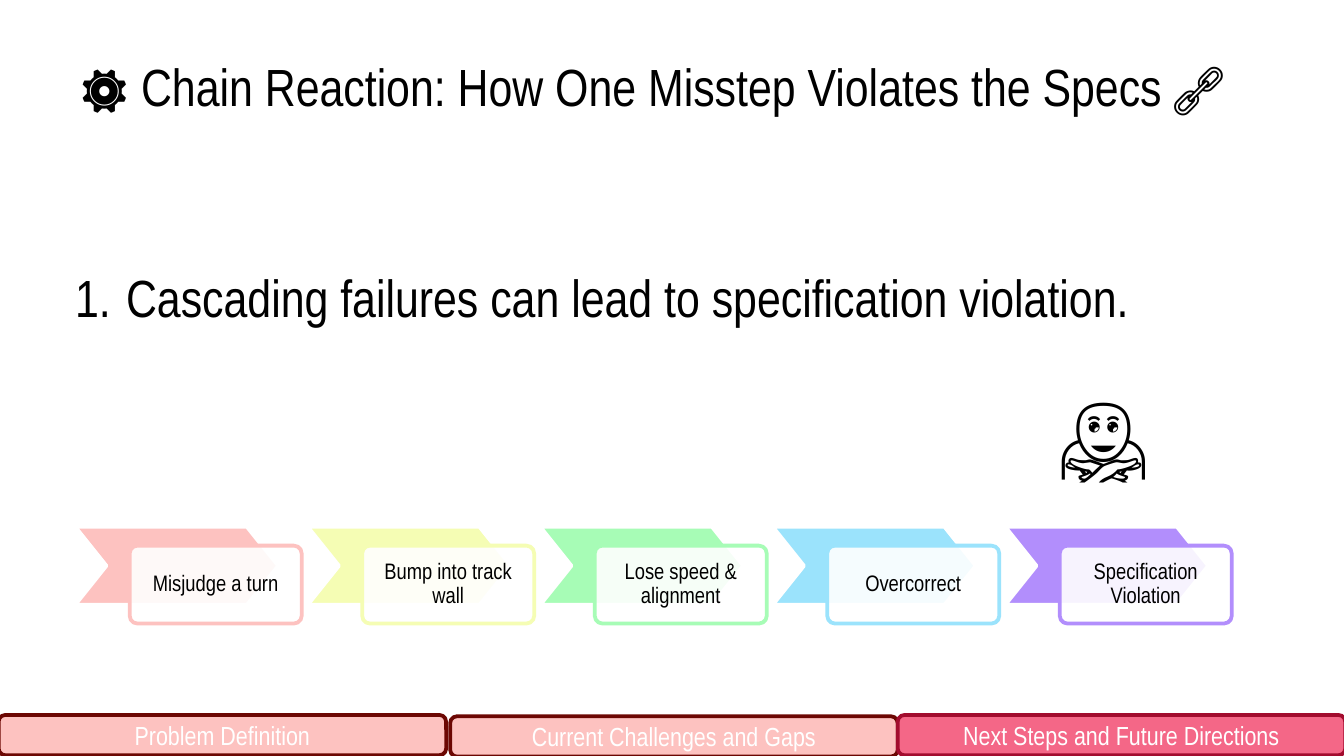
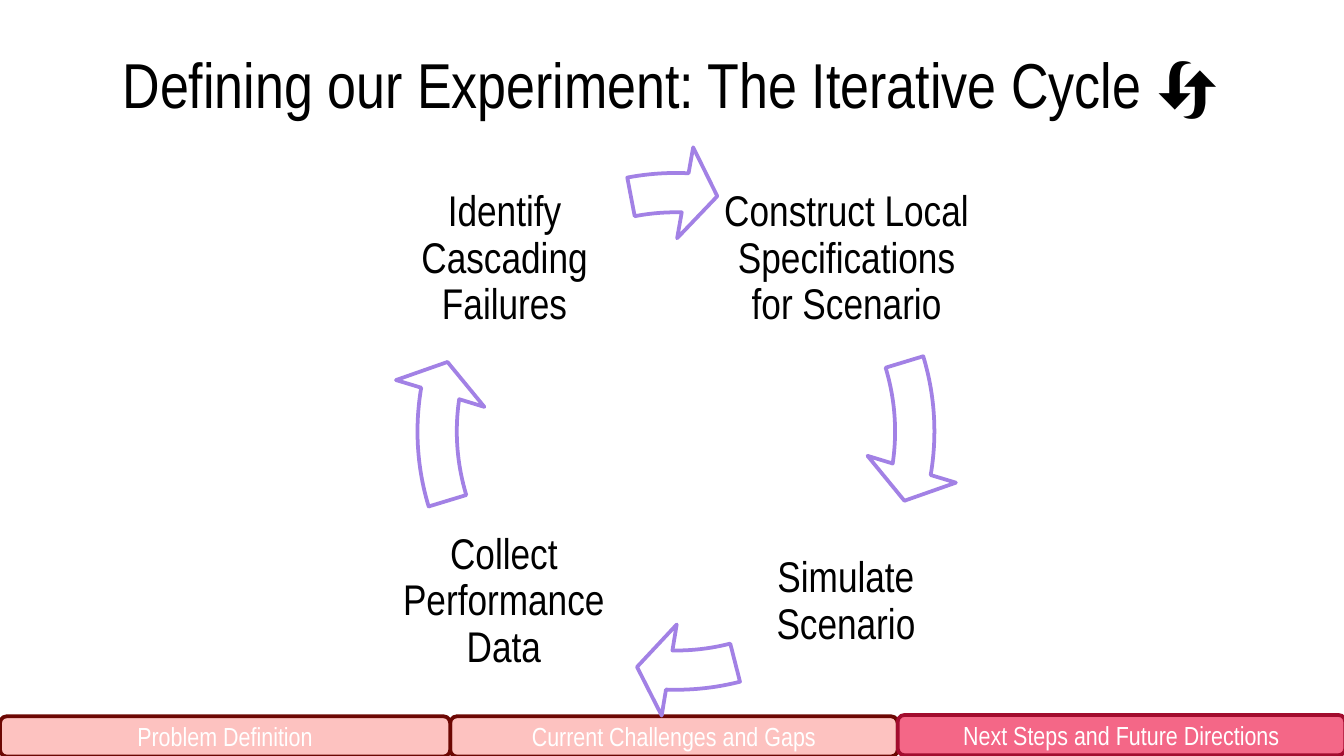
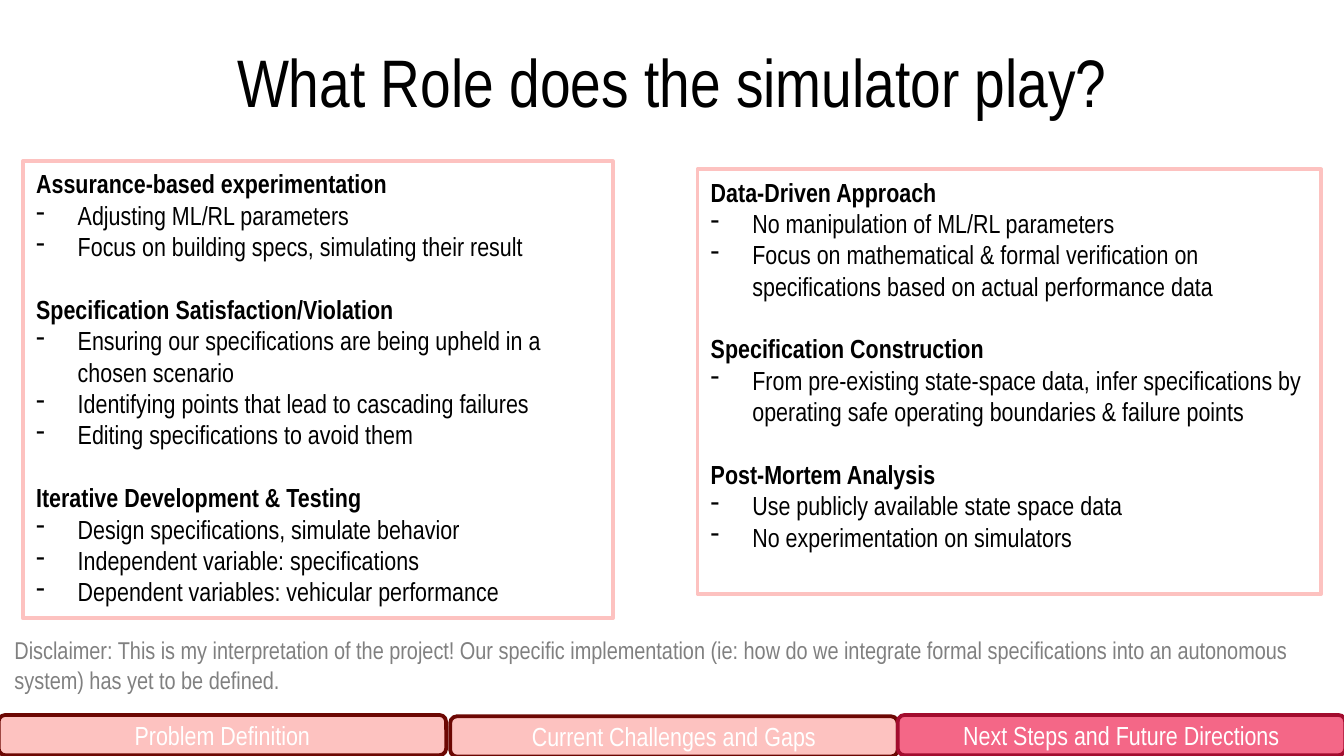
from lxml import etree
from pptx import Presentation
from pptx.dml.color import RGBColor
from pptx.enum import shapes, text
from pptx.oxml import ns
from pptx.util import Emu, Pt

PX = 4572  # EMU per px, 200 px to the inch
FONT = "Arial Narrow"

BLACK = RGBColor(0, 0, 0)
WHITE = RGBColor(0xFF, 0xFF, 0xFF)
GREY = RGBColor(0x80, 0x80, 0x80)
PINK = RGBColor(0xFD, 0xC2, 0xC0)
MAROON = RGBColor(0x6C, 0x07, 0x03)
ROSE = RGBColor(0xF4, 0x67, 0x87)
CRIMSON = RGBColor(0xA2, 0x0C, 0x2E)
YELLOW = RGBColor(0xF5, 0xFD, 0xB4)
GREEN = RGBColor(0xA7, 0xFC, 0xB6)
BLUE = RGBColor(0x9B, 0xE3, 0xFC)
VIOLET = RGBColor(0xB2, 0x8E, 0xFC)
PURPLE = RGBColor(0xA2, 0x81, 0xE5)

SHAPE = shapes.MSO_SHAPE
ALIGN = text.PP_ALIGN
ANCHOR = text.MSO_ANCHOR


# Shared helpers
def emu(*lengths):
    return [Emu(length * PX) for length in lengths]


def add_shape(slide, preset, box, fill, line):
    shape = slide.shapes.add_shape(preset, *emu(*box))
    shape.shadow.inherit = False
    shape.fill.solid()
    shape.fill.fore_color.rgb = fill
    shape.line.color.rgb = line
    shape.line.width = Pt(2)
    return shape


def set_frame(shape, anchor=ANCHOR.MIDDLE, inset=None):
    frame = shape.text_frame
    frame.word_wrap = True
    frame.auto_size = text.MSO_AUTO_SIZE.NONE
    frame.vertical_anchor = anchor
    if inset is not None:
        frame.margin_left, frame.margin_top, frame.margin_right, frame.margin_bottom = emu(*[inset] * 4)
    return frame


def write(paragraph, words, size, color=BLACK, align=ALIGN.CENTER, spacing=None, bold=False, font=FONT):
    paragraph.text = words
    paragraph.alignment = align
    if spacing:
        paragraph.line_spacing = spacing
    for run in paragraph.runs:
        run.font.name = font
        run.font.size = Pt(size)
        run.font.bold = bold
        run.font.color.rgb = color


def add_text(slide, box, words, size, anchor=ANCHOR.TOP, inset=None, **style):
    frame = set_frame(slide.shapes.add_textbox(*emu(*box)), anchor, inset)
    write(frame.paragraphs[0], words, size, **style)
    return frame.paragraphs[0]


def add_bullet(paragraph, indent, tag, **attributes):
    properties = paragraph._p.get_or_add_pPr()
    properties.set("marL", str(indent * PX))
    properties.set("indent", str(-indent * PX))
    color = etree.SubElement(properties, ns.qn("a:buClr"))
    etree.SubElement(color, ns.qn("a:srgbClr"), val=str(BLACK))
    etree.SubElement(properties, ns.qn(tag), **attributes)


def add_titled_slide(deck, words, box, size):
    slide = deck.slides.add_slide(deck.slide_layouts.get_by_name("Title Only"))
    title = slide.shapes.title
    title.left, title.top, title.width, title.height = emu(*box)
    write(set_frame(title, inset=20).paragraphs[0], words, size)
    return slide


def add_section_tabs(slide, first_box=(-2, 1064, 666, 60)):
    tabs = [
        ("Current Challenges and Gaps", (670, 1066, 666, 60), PINK, MAROON),
        ("Problem Definition", first_box, PINK, MAROON),
        ("Next Steps and Future Directions", (1336, 1064, 666, 60), ROSE, CRIMSON),
    ]
    for section, box, fill, line in tabs:
        tab = add_shape(slide, SHAPE.ROUNDED_RECTANGLE, box, fill, line)
        write(set_frame(tab).paragraphs[0], section, 14, WHITE)


# Slide 1: chain of failures
def add_step(slide, left, top, words, color):
    chevron = add_shape(slide, SHAPE.CHEVRON, (left, top, 302, 116), color, WHITE)
    chevron.adjustments[0] = 0.4
    card = add_shape(slide, SHAPE.ROUNDED_RECTANGLE, (left + 81, top + 28, 256, 116), WHITE, color)
    card.adjustments[0] = 0.1
    tint = card.fill._xPr.find(".//" + ns.qn("a:srgbClr"))
    etree.SubElement(tint, ns.qn("a:alpha"), val="90000")
    write(set_frame(card, inset=20).paragraphs[0], words, 12, spacing=0.9)


def add_chain(slide, box):
    left, top, width, _ = box
    steps = [
        ("Misjudge a turn", PINK),
        ("Bump into track wall", YELLOW),
        ("Lose speed & alignment", GREEN),
        ("Overcorrect", BLUE),
        ("Specification Violation", VIOLET),
    ]
    pitch = (width - 337) // (len(steps) - 1)
    for index, (words, color) in enumerate(steps):
        add_step(slide, left + index * pitch, top, words, color)


def build_chain_slide(deck):
    slide = add_titled_slide(deck, "⚙️ Chain Reaction: How One Misstep Violates the Specs 🔗",
                             (40, 36, 1864, 184), 28)
    claim = add_text(slide, (92, 338, 1816, 350), "Cascading failures can lead to specification violation.",
                     28, align=ALIGN.LEFT, spacing=1.5)
    add_bullet(claim, 76, "a:buAutoNum", type="arabicPeriod")
    add_chain(slide, (112, 784, 1721, 144))
    add_text(slide, (1554, 546, 292, 202), "🙅", 54, align=ALIGN.LEFT, font="Arial")
    add_section_tabs(slide)


# Slide 2: iterative cycle
def add_cycle(slide, box):
    left, top, size, _ = box
    # Label, its box from the corner of the ring, then start and end angle of the next arrow
    stages = [
        ("Construct Local Specifications for Scenario", (486, 18, 384, 300), 343.1, 9.13),
        ("Simulate Scenario", (512, 528, 330, 300), 75.65, 91.62),
        ("Collect Performance Data", (-28, 528, 392, 300), 163.1, 189.13),
        ("Identify Cascading Failures", (-18, 18, 374, 300), 259.15, 272.21),
    ]
    for words, (x, y, width, height), start, end in stages:
        add_text(slide, (left + x, top + y, width, height), words, 23,
                 anchor=ANCHOR.MIDDLE, inset=6, spacing=0.9)
        arrow = add_shape(slide, SHAPE.CIRCULAR_ARROW, (left, top, size, size), WHITE, PURPLE)
        # Angles are stored in units of 5/3 degree
        for index, value in enumerate((0.069, 7.76 * 0.6, end * 0.6, start * 0.6, 0.081)):
            arrow.adjustments[index] = value


def build_cycle_slide(deck):
    slide = add_titled_slide(deck, "Defining our Experiment: The Iterative Cycle 🔄",
                             (52, 32, 1892, 184), 34)
    add_section_tabs(slide, first_box=(0, 1066, 670, 60))
    add_cycle(slide, (582, 218, 848, 848))


# Slide 3: two approaches
def add_approach(slide, box, topics):
    panel = add_shape(slide, SHAPE.RECTANGLE, box, WHITE, PINK)
    frame = set_frame(panel, ANCHOR.TOP)
    for index, (heading, points) in enumerate(topics):
        paragraph = frame.add_paragraph() if index else frame.paragraphs[0]
        write(paragraph, heading, 14, align=ALIGN.LEFT, bold=True)
        if index:
            paragraph.space_before = Pt(16.8)
        for point in points:
            paragraph = frame.add_paragraph()
            add_bullet(paragraph, 62, "a:buChar", char="-")
            write(paragraph, point, 14, align=ALIGN.LEFT)


def build_simulator_slide(deck):
    slide = add_titled_slide(deck, "What Role does the simulator play?", (68, 28, 1864, 184), 36)
    add_section_tabs(slide)
    add_text(slide, (2, 936, 2000, 202),
             "Disclaimer: This is my interpretation of the project! Our specific implementation "
             "(ie: how do we integrate formal specifications into an autonomous system) "
             "has yet to be defined.", 13, color=GREY, align=ALIGN.LEFT)
    add_approach(slide, (34, 240, 878, 680), [
        ("Assurance-based experimentation", [
            "Adjusting ML/RL parameters",
            "Focus on building specs, simulating their result"]),
        ("Specification Satisfaction/Violation", [
            "Ensuring our specifications are being upheld in a chosen scenario",
            "Identifying points that lead to cascading failures",
            "Editing specifications to avoid them"]),
        ("Iterative Development & Testing", [
            "Design specifications, simulate behavior",
            "Independent variable: specifications",
            "Dependent variables: vehicular performance"]),
    ])
    add_approach(slide, (1038, 252, 928, 632), [
        ("Data-Driven Approach", [
            "No manipulation of ML/RL parameters",
            "Focus on mathematical & formal verification on specifications "
            "based on actual performance data"]),
        ("Specification Construction", [
            "From pre-existing state-space data, infer specifications by "
            "operating safe operating boundaries & failure points"]),
        ("Post-Mortem Analysis", [
            "Use publicly available state space data",
            "No experimentation on simulators"]),
    ])


def main():
    deck = Presentation()
    deck.slide_width, deck.slide_height = emu(2000, 1125)
    build_chain_slide(deck)
    build_cycle_slide(deck)
    build_simulator_slide(deck)
    deck.save("out.pptx")


if __name__ == "__main__":
    main()
